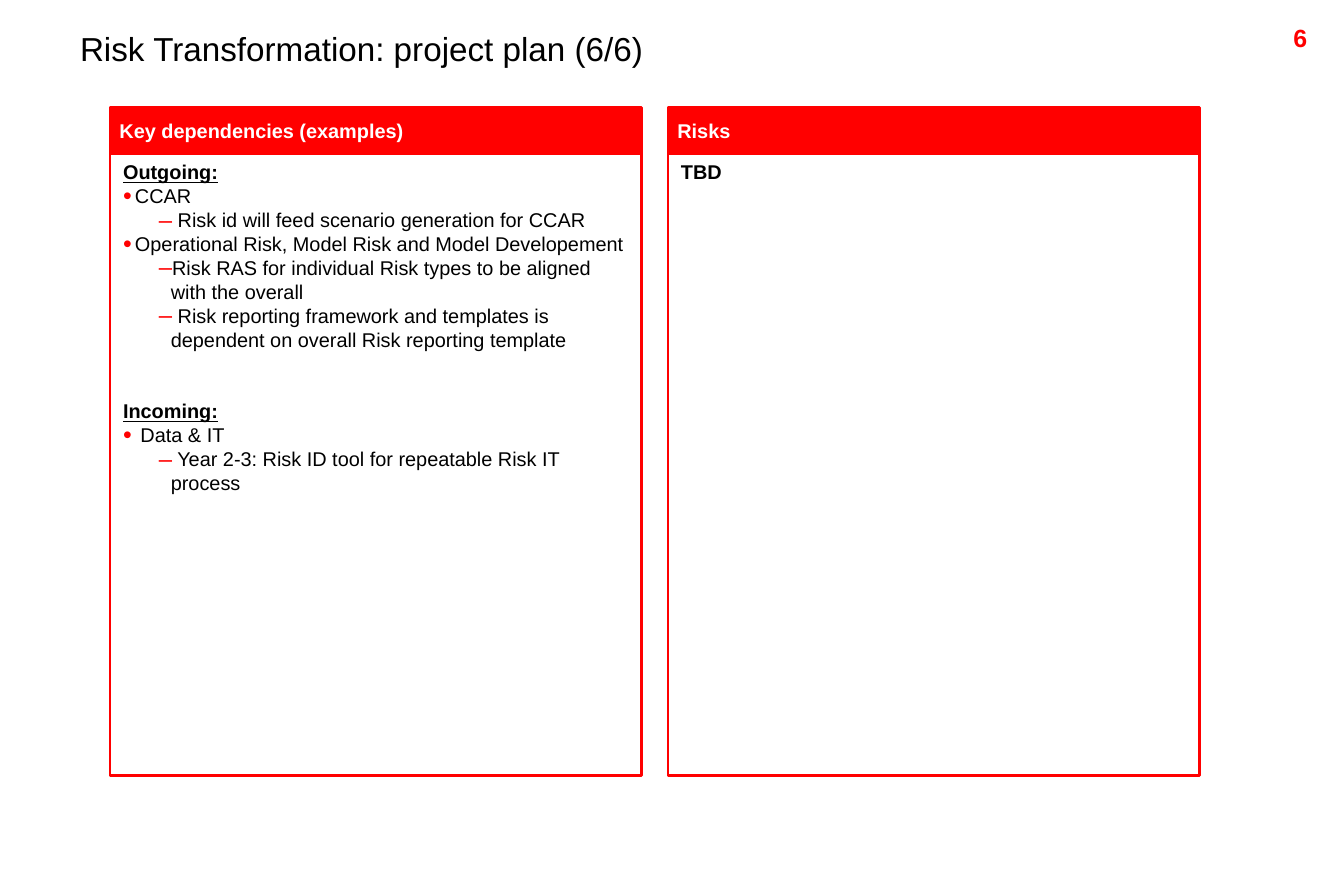
from dataclasses import dataclass

from lxml.etree import SubElement
from pptx import Presentation
from pptx.dml.color import RGBColor
from pptx.enum.shapes import MSO_SHAPE as Shape
from pptx.enum.text import MSO_ANCHOR as Anchor, PP_ALIGN as Align
from pptx.oxml.ns import qn
from pptx.util import Inches, Pt

COLORS = {"red": "FF0000", "white": "FFFFFF", "black": "000000"}
FONT = "Arial"
PANEL_WIDTH = 4.45


@dataclass(frozen=True)
class Style:
    bold: bool = False
    underline: bool = False
    bullet: str = ""
    bullet_percent: int = 100
    indent: float = 0


@dataclass(frozen=True)
class Line:
    text: str
    style: Style
    space_before: float = 0


@dataclass(frozen=True)
class Panel:
    left: float
    heading: str
    lines: tuple[Line, ...]


HEADING = Style(bold=True, underline=True)
STRONG = Style(bold=True)
ITEM = Style(bullet="•", bullet_percent=125, indent=0.1)
DETAIL = Style(bullet="–", bullet_percent=120, indent=0.4)

PANELS = (
    Panel(0.92, "Key dependencies (examples)", (
        Line("Outgoing:", HEADING),
        Line("CCAR", ITEM),
        Line(" Risk id will feed scenario generation for CCAR", DETAIL),
        Line("Operational Risk, Model Risk and Model Developement", ITEM),
        Line("Risk RAS for individual Risk types to be aligned with the overall", DETAIL),
        Line(" Risk reporting framework and templates is dependent on overall "
             "Risk reporting template", DETAIL),
        Line("Incoming:", HEADING, space_before=28.8),
        Line(" Data & IT", ITEM),
        Line(" Year 2-3: Risk ID tool for repeatable Risk IT process", DETAIL),
    )),
    Panel(5.59, "Risks", (Line("TBD", STRONG),)),
)


def color(name: str) -> RGBColor:
    return RGBColor.from_string(COLORS[name])


def write(para, text: str, size: float, color_name: str = "black", style: Style = Style()) -> None:
    para.text = text
    for span in para.runs:
        font = span.font
        font.name, font.size = FONT, Pt(size)
        font.bold, font.underline = style.bold, style.underline
        font.color.rgb = color(color_name)


def add_bullet(para, style: Style) -> None:
    """Give the paragraph a red bullet with a hanging indent."""
    properties = para._p.get_or_add_pPr()
    properties.set("marL", str(Inches(style.indent)))
    properties.set("indent", str(Inches(-0.1)))
    bullet_color = SubElement(properties, qn("a:buClr"))
    SubElement(bullet_color, qn("a:srgbClr"), val=COLORS["red"])
    SubElement(properties, qn("a:buSzPct"), val=str(style.bullet_percent * 1000))
    SubElement(properties, qn("a:buFont"), typeface=FONT)
    SubElement(properties, qn("a:buChar"), char=style.bullet)


def add_text_box(page, left: float, top: float, width: float, height: float):
    box = page.shapes.add_textbox(Inches(left), Inches(top), Inches(width), Inches(height))
    box.text_frame.word_wrap = True
    return box.text_frame


def add_rectangle(page, left: float, top: float, height: float, fill: str):
    box = page.shapes.add_shape(Shape.RECTANGLE, Inches(left), Inches(top),
                                Inches(PANEL_WIDTH), Inches(height))
    box.shadow.inherit = False
    box.fill.solid()
    box.fill.fore_color.rgb = color(fill)
    box.line.color.rgb = color("red")
    box.line.width = Pt(1.5)
    return box


def add_panel(page, panel: Panel) -> None:
    add_rectangle(page, panel.left, 0.92, 5.57, "white")
    frame = add_rectangle(page, panel.left, 0.9, 0.39, "red").text_frame
    frame.word_wrap = True
    frame.vertical_anchor = Anchor.MIDDLE
    frame.margin_left = frame.margin_right = Inches(0.08)
    write(frame.paragraphs[0], panel.heading, 12, "white", STRONG)
    frame.paragraphs[0].alignment = Align.LEFT

    body = add_text_box(page, panel.left + 0.11, 1.34, 4.25, 4.55)
    body.margin_left = body.margin_top = body.margin_right = body.margin_bottom = 0
    for index, line in enumerate(panel.lines):
        para = body.add_paragraph() if index else body.paragraphs[0]
        write(para, line.text, 12, style=line.style)
        para.line_spacing = Pt(14.4)
        para.space_before = Pt(line.space_before)
        if line.style.bullet:
            add_bullet(para, line.style)


def main() -> None:
    deck = Presentation()
    deck.slide_width, deck.slide_height = Inches(11.25), Inches(7.5)
    page = deck.slides.add_slide(deck.slide_layouts[6])

    number = add_text_box(page, 9.97, 0.14, 1.07, 0.5).paragraphs[0]
    write(number, "6", 15, "red", STRONG)
    number.alignment = Align.RIGHT

    for panel in PANELS:
        add_panel(page, panel)

    title_frame = add_text_box(page, 0.31, 0.23, 10.38, 0.43)
    title_frame.margin_left = Inches(0.36)
    title = title_frame.paragraphs[0]
    write(title, "Risk Transformation: project plan (6/6)", 20)
    title.line_spacing = 0.9

    deck.save("out.pptx")


if __name__ == "__main__":
    main()
